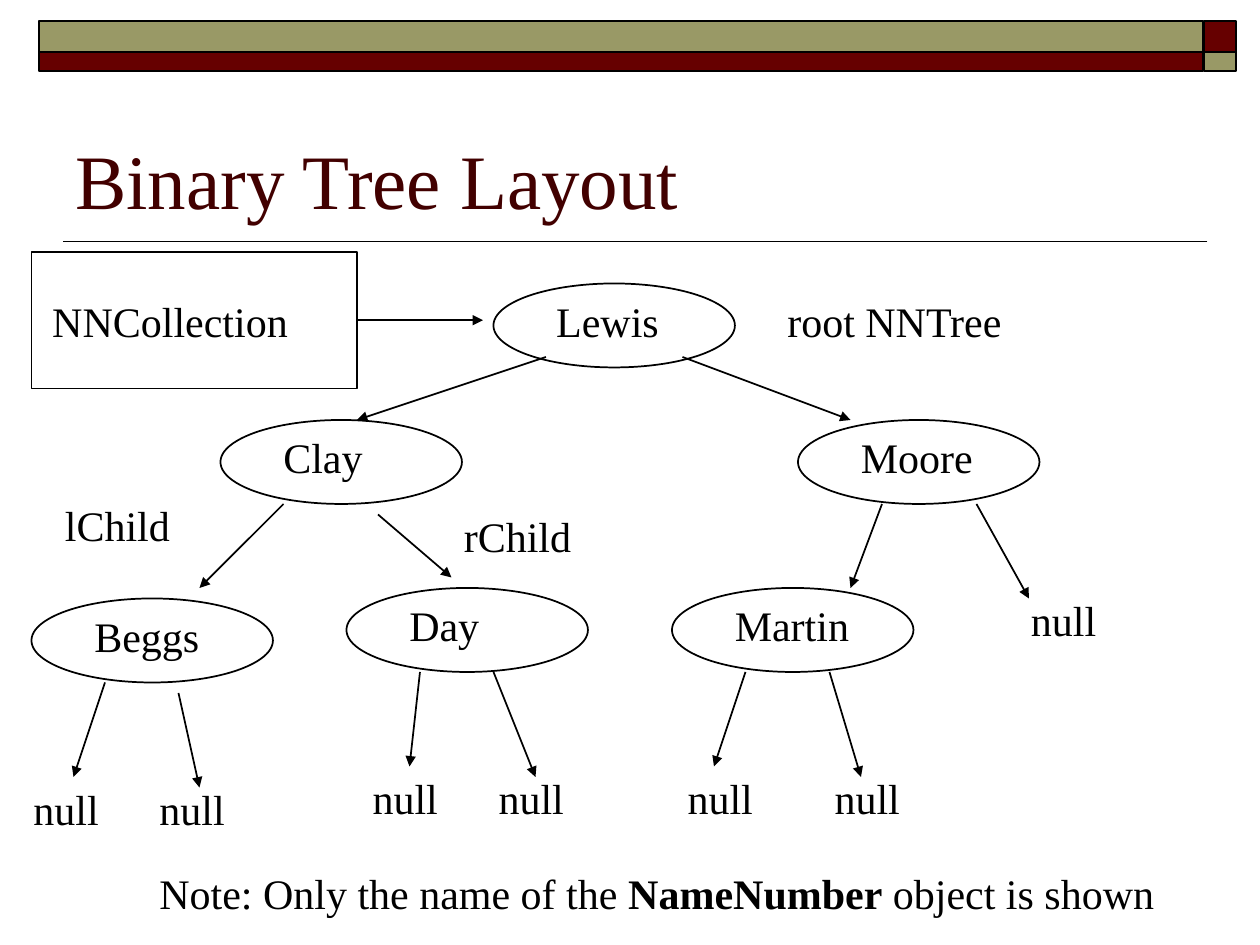
import pptx
import pptx.util
import pptx.dml.color
import pptx.enum.shapes
import pptx.enum.text
import pptx.oxml.ns
import lxml.etree

RGB = pptx.dml.color.RGBColor
BLACK = RGB(0x00, 0x00, 0x00)
WINE = RGB(0x66, 0x00, 0x00)
OLIVE = RGB(0x99, 0x99, 0x66)
DARK = RGB(0x42, 0x00, 0x00)
FONT = "Times New Roman"
KIND = pptx.enum.shapes.MSO_SHAPE
COLS, ROWS = 120, 90
CELL = pptx.util.Inches(10) // COLS
NODE_W, NODE_H, TEXT_H = 23, 8, 6
NULL_W = 8.64

NODES = [
    ("Lewis", 44, 3, 12.15),
    ("Clay", 18, 16, 10),
    ("Moore", 73, 16, 13.1),
    ("Beggs", 0, 33, 12.4),
    ("Day", 30, 32, 9.05),
    ("Martin", 61, 32, 13.3),
]
EDGES = [
    (49, 10, 31, 16), (62, 10, 78, 16),
    (24, 24, 16, 32), (33, 25, 40, 31),
    (81, 24, 78, 32), (90, 24, 95, 33),
    (7, 41, 4, 50), (14, 42, 16, 51),
    (37, 40, 36, 49), (44, 40, 48, 50),
    (68, 40, 65, 49), (76, 40, 79, 50),
]
NULLS = [(94, 32), (-1, 50), (11, 50), (31.3, 49), (43.3, 49),
         (61.3, 49), (75.3, 49)]


def grid(*nums):
    """Turn grid cells into lengths."""
    return [pptx.util.Emu(round(num * CELL)) for num in nums]


def shape(slide, kind, box, fill=None):
    """Draw an outlined shape in a box of cells."""
    item = slide.shapes.add_shape(kind, *grid(*box))
    item.shadow.inherit = False
    if fill is None:
        item.fill.background()
    else:
        item.fill.solid()
        item.fill.fore_color.rgb = fill
    item.line.color.rgb = BLACK
    item.line.width = pptx.util.Pt(1)
    return item


def line(slide, ends, arrow=True):
    """Draw a straight line between two grid points."""
    kind = pptx.enum.shapes.MSO_CONNECTOR.STRAIGHT
    item = slide.shapes.add_connector(kind, *grid(*ends))
    item.line.color.rgb = BLACK
    item.line.width = pptx.util.Pt(1)
    qn = pptx.oxml.ns.qn
    if arrow:
        pen = item.line._get_or_add_ln()
        lxml.etree.SubElement(pen, qn("a:tailEnd"), type="triangle")
    lxml.etree.SubElement(item._element.spPr, qn("a:effectLst"))
    return item


def text(slide, box, runs, size=24, color=BLACK, wrap=False):
    """Set runs of (words, bold) in a text box that fits unwrapped text."""
    item = slide.shapes.add_textbox(*grid(*box))
    frame = item.text_frame
    frame.word_wrap = wrap
    if not wrap:
        frame.auto_size = pptx.enum.text.MSO_AUTO_SIZE.SHAPE_TO_FIT_TEXT
    for words, bold in runs:
        run = frame.paragraphs[0].add_run()
        run.text = words
        run.font.name = FONT
        run.font.size = pptx.util.Pt(size)
        run.font.bold = bold
        run.font.color.rgb = color
    return frame


def band(slide, box):
    """Draw the two-row banner with its swapped end cells."""
    left, top, width, height = box
    end = 3
    split = height * 0.62
    main = width - end - 0.1
    for y, high, fill, other in (
        (top, split, OLIVE, WINE),
        (top + split, height - split, WINE, OLIVE),
    ):
        shape(slide, KIND.RECTANGLE, (left, y, main, high), fill)
        shape(slide, KIND.RECTANGLE, (left + width - end, y, end, high), other)


def head(slide, box):
    """Set the title and the rule below it."""
    left, top, width, height = box
    frame = text(slide, box, [("Binary Tree Layout", False)], 44, DARK, True)
    frame.vertical_anchor = pptx.enum.text.MSO_ANCHOR.BOTTOM
    rule = top + height + 1
    line(slide, (left + width + 1, rule, left, rule), False)


def tree(slide, left, top):
    """Draw the collection box, the nodes, their links and labels."""
    def label(words, x, y, wide):
        """Place a plain label relative to the tree."""
        text(slide, (left + x, top + y, wide, TEXT_H), [(words, False)])

    root = shape(slide, KIND.RECTANGLE, (left, top, 31, 13))
    label("NNCollection", 0.8, 3.6, 24.85)
    link = line(slide, (left + 31, top + 6.5, left + 43, top + 6.5))
    link.begin_connect(root, 3)
    for name, x, y, wide in NODES:
        shape(slide, KIND.OVAL, (left + x, top + y, NODE_W, NODE_H))
        label(name, x + 4.8, y + 0.55, wide)
    for x, y, to_x, to_y in EDGES:
        line(slide, (left + x, top + y, left + to_x, top + to_y))
    for x, y in NULLS:
        label("null", x, y, NULL_W)
    label("root NNTree", 70.8, 3.6, 22.9)
    label("lChild", 2, 23, 12.4)
    label("rChild", 40, 24, 12.6)


def note(slide, box):
    """Set the closing note."""
    text(slide, box, [("Note: Only the name of the ", False),
                      ("NameNumber", True),
                      (" object is shown", False)])


def main():
    """Build and save the slide."""
    deck = pptx.Presentation()
    deck.slide_width, deck.slide_height = grid(COLS, ROWS)
    slide = deck.slides.add_slide(deck.slide_layouts[6])
    band(slide, (3.7, 2, 114, 4.8))
    head(slide, (6, 7, 108, 15))
    tree(slide, 3, 24)
    note(slide, (14, 82, 97.2, TEXT_H))
    deck.save("out.pptx")


if __name__ == "__main__":
    main()
